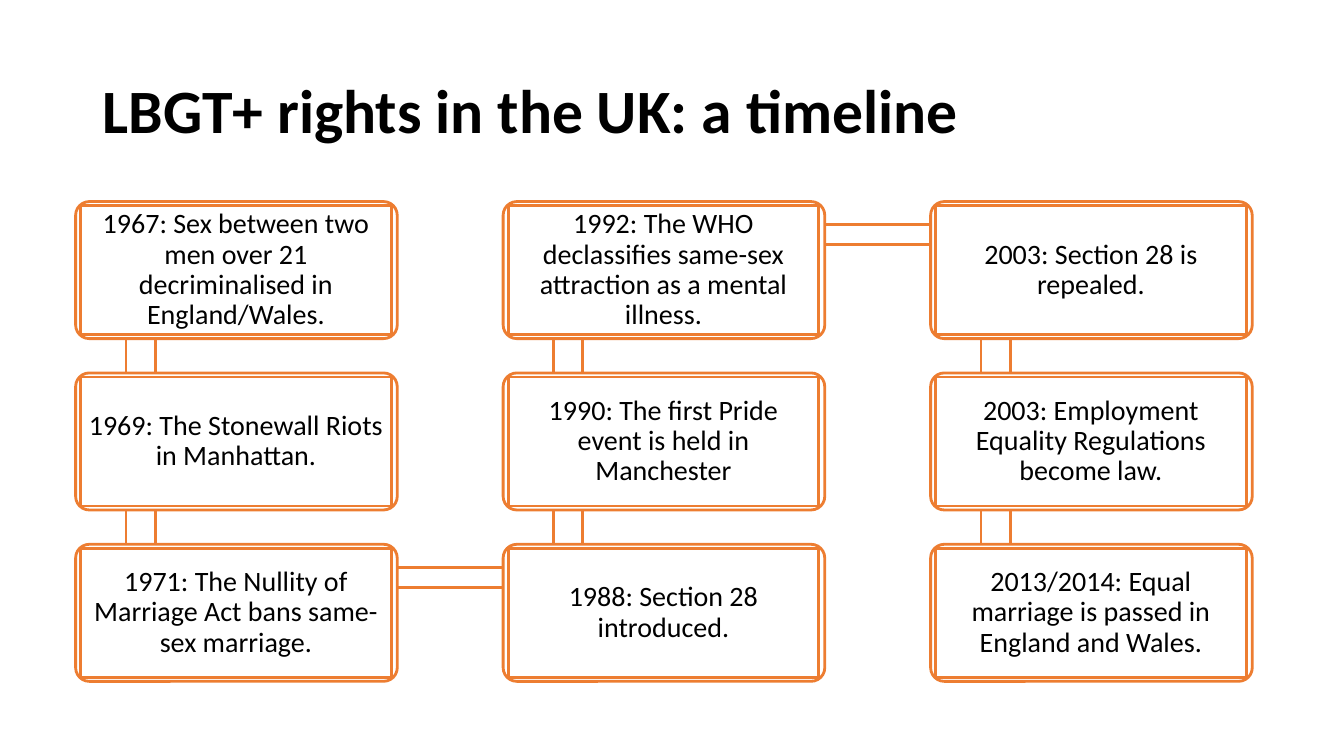
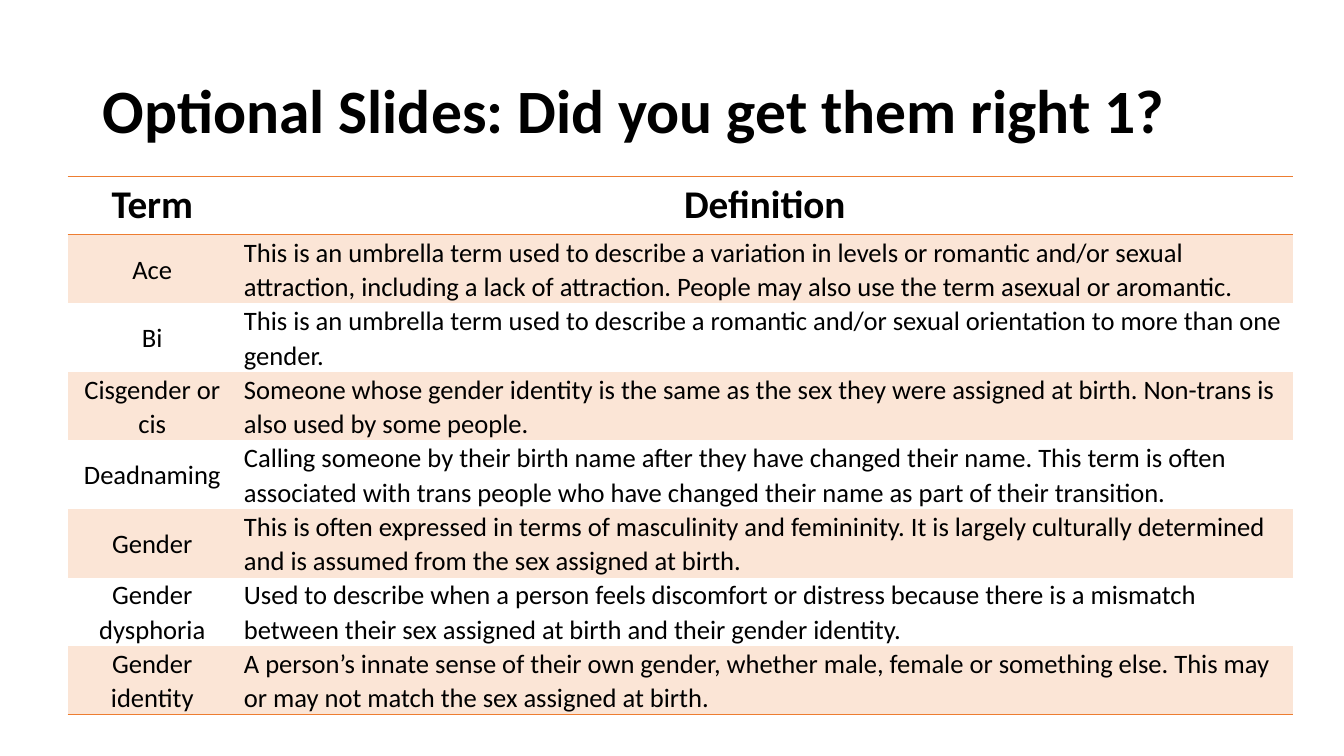
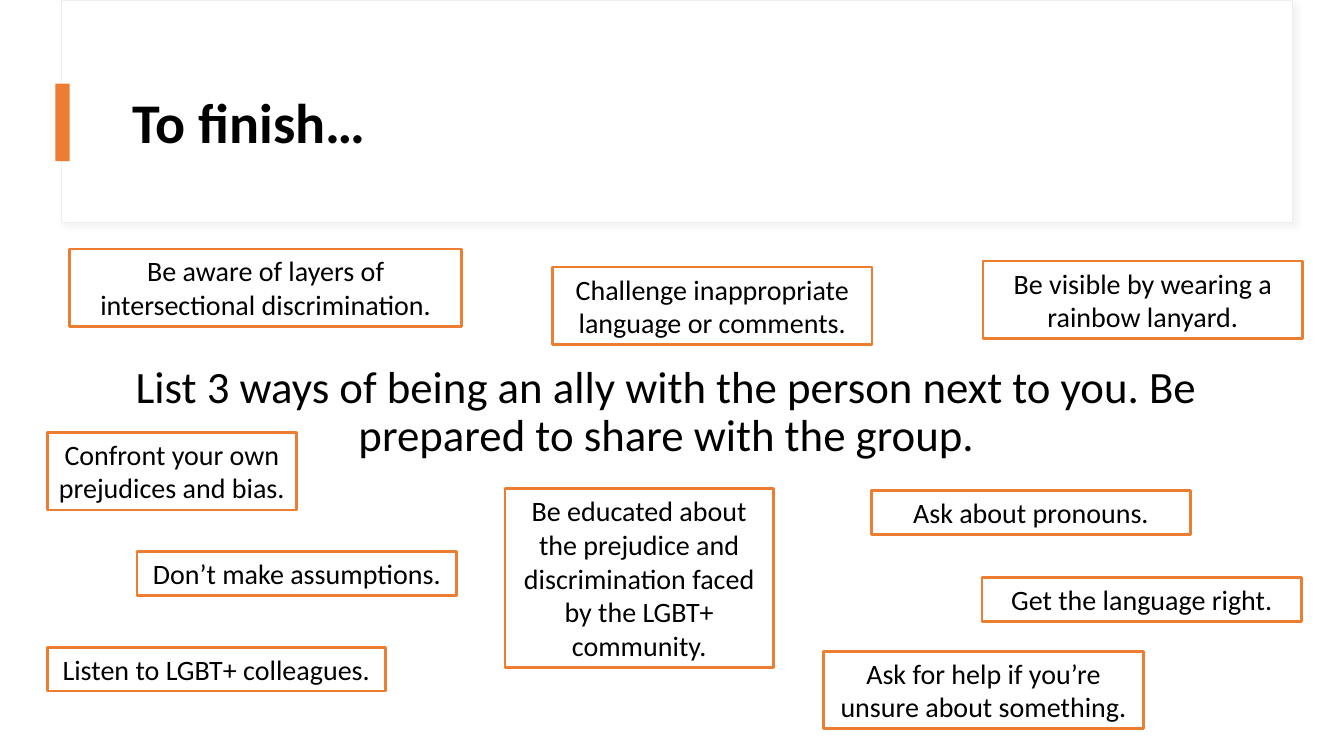
from lxml import etree
from pptx import Presentation
from pptx import util as u
from pptx.dml.color import RGBColor
from pptx.enum import shapes, text
from pptx.oxml import ns

Inches = u.Inches
ORANGE, WHITE, BLACK = "ED7D31", "FFFFFF", "000000"
PEACH, PALE_GREY = "FBE5D6", "EFEFEF"
FONT = "Calibri"
RECT = shapes.MSO_SHAPE.RECTANGLE
ROUND = shapes.MSO_SHAPE.ROUNDED_RECTANGLE
LEFT, CENTER = text.PP_ALIGN.LEFT, text.PP_ALIGN.CENTER
TOP, MIDDLE = text.MSO_ANCHOR.TOP, text.MSO_ANCHOR.MIDDLE


def write(tf, words, size, bold=False, align=LEFT, spacing=None):
    p = tf.paragraphs[0]
    p.alignment = align
    p.line_spacing = spacing
    r = p.add_run()
    r.text = words
    r.font.name, r.font.size, r.font.bold = FONT, u.Pt(size), bold
    r.font.color.rgb = RGBColor.from_string(BLACK)


def put(s, kind, at, words="", size=20, fill=WHITE, line=ORANGE, weight=2,
        anchor=TOP, inset=None, **style):
    """Add a shape, or a text box when kind is None."""
    at = [Inches(v) for v in at]
    if kind is None:
        sp = s.shapes.add_textbox(*at)
    else:
        sp = s.shapes.add_shape(kind, *at)
        sp.shadow.inherit = False
        sp.fill.solid()
        sp.fill.fore_color.rgb = RGBColor.from_string(fill)
        sp.line.color.rgb = RGBColor.from_string(line)
        sp.line.width = u.Pt(weight)
    if words:
        tf = sp.text_frame
        tf.word_wrap = True
        tf.vertical_anchor = anchor
        if inset is not None:
            tf.margin_left = tf.margin_right = Inches(inset)
            tf.margin_top = tf.margin_bottom = Inches(inset)
        write(tf, words, size, **style)
    return sp


prs = Presentation()
prs.slide_width, prs.slide_height = Inches(13.33), Inches(7.5)
blank = prs.slide_layouts[6]
TITLE_AT = (0.92, 0.4, 11.5, 1.45)
TITLE = dict(bold=True, anchor=MIDDLE, spacing=0.9)

# Slide 1: timeline winding down, up and down through three columns
s = prs.slides.add_slide(blank)
put(s, None, TITLE_AT, "LBGT+ rights in the UK: a timeline", 44, **TITLE)

events = [
    "1967: Sex between two men over 21 decriminalised in England/Wales.",
    "1969: The Stonewall Riots in Manhattan.",
    "1971: The Nullity of Marriage Act bans same-sex marriage.",
    "1988: Section 28 introduced.",
    "1990: The first Pride event is held in Manchester",
    "1992: The WHO declassifies same-sex attraction as a mental illness.",
    "2003: Section 28 is repealed.",
    "2003: Employment Equality Regulations become law.",
    "2013/2014: Equal marriage is passed in England and Wales.",
]
ROWS = 3
spots = []
for i in range(len(events)):
    col, row = divmod(i, ROWS)
    if col % 2:
        row = ROWS - 1 - row
    spots.append((0.75 + 4.24 * col, 2 + 1.7 * row))

# Links lie behind the boxes
for (x1, y1), (x2, y2) in zip(spots, spots[1:]):
    if x1 == x2:
        put(s, RECT, (x1 + 0.5, min(y1, y2) + 0.34, 0.29, 1.69))
    else:
        put(s, RECT, (x1 + 0.65, y1 + 0.23, 4.23, 0.2))

for (x, y), event in zip(spots, events):
    sp = put(s, ROUND, (x, y, 3.19, 1.36))
    sp.adjustments[0] = 0.1
    put(s, RECT, (x + 0.05, y + 0.04, 3.08, 1.28), event, anchor=MIDDLE,
        inset=0.07, align=CENTER, spacing=0.9)

# Slide 2: table of terms
s = prs.slides.add_slide(blank)
put(s, None, TITLE_AT, "Optional Slides: Did you get them right 1?", 44, **TITLE)

terms = [
    ("Term", "Definition"),
    ("Ace", "This is an umbrella term used to describe a variation in levels or romantic "
     "and/or sexual attraction, including a lack of attraction. People may also use the "
     "term asexual or aromantic."),
    ("Bi", "This is an umbrella term used to describe a romantic and/or sexual orientation "
     "to more than one gender."),
    ("Cisgender or cis", "Someone whose gender identity is the same as the sex they were "
     "assigned at birth. Non-trans is also used by some people."),
    ("Deadnaming", "Calling someone by their birth name after they have changed their name. "
     "This term is often associated with trans people who have changed their name as part "
     "of their transition."),
    ("Gender", "This is often expressed in terms of masculinity and femininity. It is "
     "largely culturally determined and is assumed from the sex assigned at birth."),
    ("Gender dysphoria", "Used to describe when a person feels discomfort or distress "
     "because there is a mismatch between their sex assigned at birth and their gender "
     "identity."),
    ("Gender identity", "A person’s innate sense of their own gender, whether male, female "
     "or something else. This may or may not match the sex assigned at birth."),
]
frame = s.shapes.add_table(len(terms), 2, Inches(0.67), Inches(1.75),
                           Inches(12.15), Inches(5.34))
table = frame.table
# The style without fills or grid
style_id = frame._element.find(".//" + ns.qn("a:tableStyleId"))
style_id.text = "{2D5ABB26-0587-4C30-8999-92F81FD0307C}"
table.columns[0].width, table.columns[1].width = Inches(1.68), Inches(10.47)

for i, row in enumerate(terms):
    header = i == 0
    table.rows[i].height = Inches(0.58 if header else 0.68)
    edges = ["a:lnT", "a:lnB"] if header else ["a:lnB"] if i == len(terms) - 1 else []
    for j, words in enumerate(row):
        cell = table.cell(i, j)
        if header:
            write(cell.text_frame, words, 28, bold=True, align=CENTER)
        else:
            cell.margin_left = cell.margin_right = Inches(0.07)
            cell.margin_top = cell.margin_bottom = 0
            cell.vertical_anchor = TOP if j else MIDDLE
            write(cell.text_frame, words, 19, align=LEFT if j else CENTER, spacing=1.07)
        # Borders come before the fill in the cell properties
        tcPr = cell._tc.get_or_add_tcPr()
        for edge in edges:
            ln = etree.SubElement(tcPr, ns.qn(edge), w=str(u.Pt(1)))
            solid = etree.SubElement(ln, ns.qn("a:solidFill"))
            etree.SubElement(solid, ns.qn("a:srgbClr"), val=ORANGE)
        if i % 2:
            cell.fill.solid()
            cell.fill.fore_color.rgb = RGBColor.from_string(PEACH)
        else:
            cell.fill.background()

# Slide 3: title card with a soft shadow and an accent bar
s = prs.slides.add_slide(blank)
card = put(s, RECT, (0.61, 0, 12.21, 2.21), line=PALE_GREY, weight=0.75)
effects = card._element.spPr.find(ns.qn("a:effectLst"))
shadow = etree.SubElement(effects, ns.qn("a:outerShdw"), blurRad=str(u.Pt(4)),
                          dist=str(u.Pt(3)), dir=str(45 * 60000), algn="tl")
tint = etree.SubElement(shadow, ns.qn("a:srgbClr"), val="D9D9D9")
etree.SubElement(tint, ns.qn("a:alpha"), val="30000")
put(s, None, (1.22, 0.6, 11.12, 1.29), "To finish…", 40, **TITLE)
bar = put(s, RECT, (0.55, 0.83, 0.14, 0.77), fill=ORANGE)
bar.line.fill.background()

# Task
task = put(s, None, (0.69, 3.57, 11.65, 1.29),
           "List 3 ways of being an ally with the person next to you. "
           "Be prepared to share with the group.", 32, align=CENTER, spacing=0.9)
pPr = task.text_frame.paragraphs[0]._p.get_or_add_pPr()
pPr.set("marL", str(Inches(0.19)))

# Ways of being an ally: left, top, width, number of text lines
ways = [
    (9.74, 5.73, 3.17, 1, "Get the language right."),
    (0.47, 6.42, 3.35, 1, "Listen to LGBT+ colleagues."),
    (8.64, 4.87, 3.17, 1, "Ask about pronouns."),
    (1.36, 5.47, 3.17, 1, "Don’t make assumptions."),
    (9.75, 2.59, 3.17, 2, "Be visible by wearing a rainbow lanyard."),
    (0.47, 4.29, 2.47, 2, "Confront your own prejudices and bias."),
    (5.01, 4.85, 2.66, 5, "Be educated about the prejudice and discrimination faced "
     "by the LGBT+ community."),
    (0.69, 2.47, 3.89, 2, "Be aware of layers of intersectional discrimination."),
    (8.17, 6.46, 3.17, 2, "Ask for help if you’re unsure about something."),
    (5.48, 2.65, 3.17, 2, "Challenge inappropriate language or comments."),
]
for x, y, w, lines, words in ways:
    put(s, RECT, (x, y, w, 0.1 + 0.335 * lines), words, align=CENTER)

prs.save("out.pptx")
